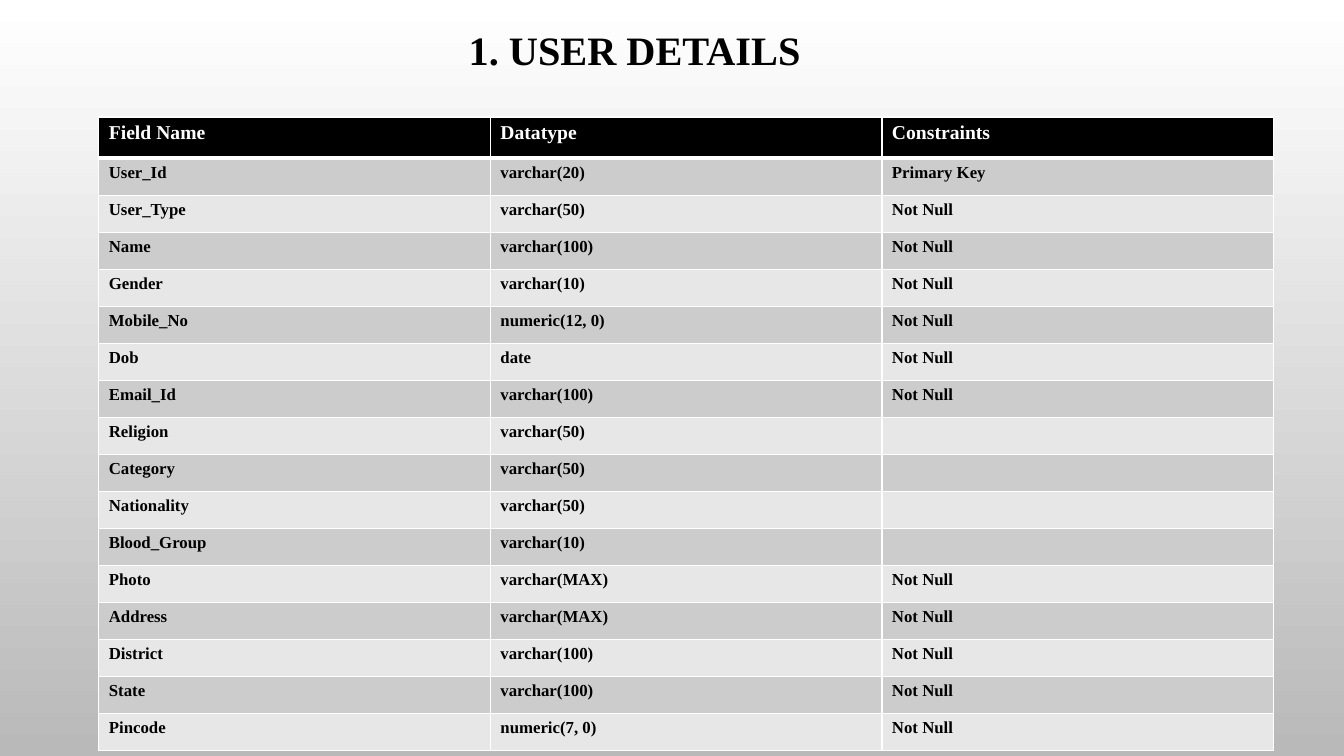
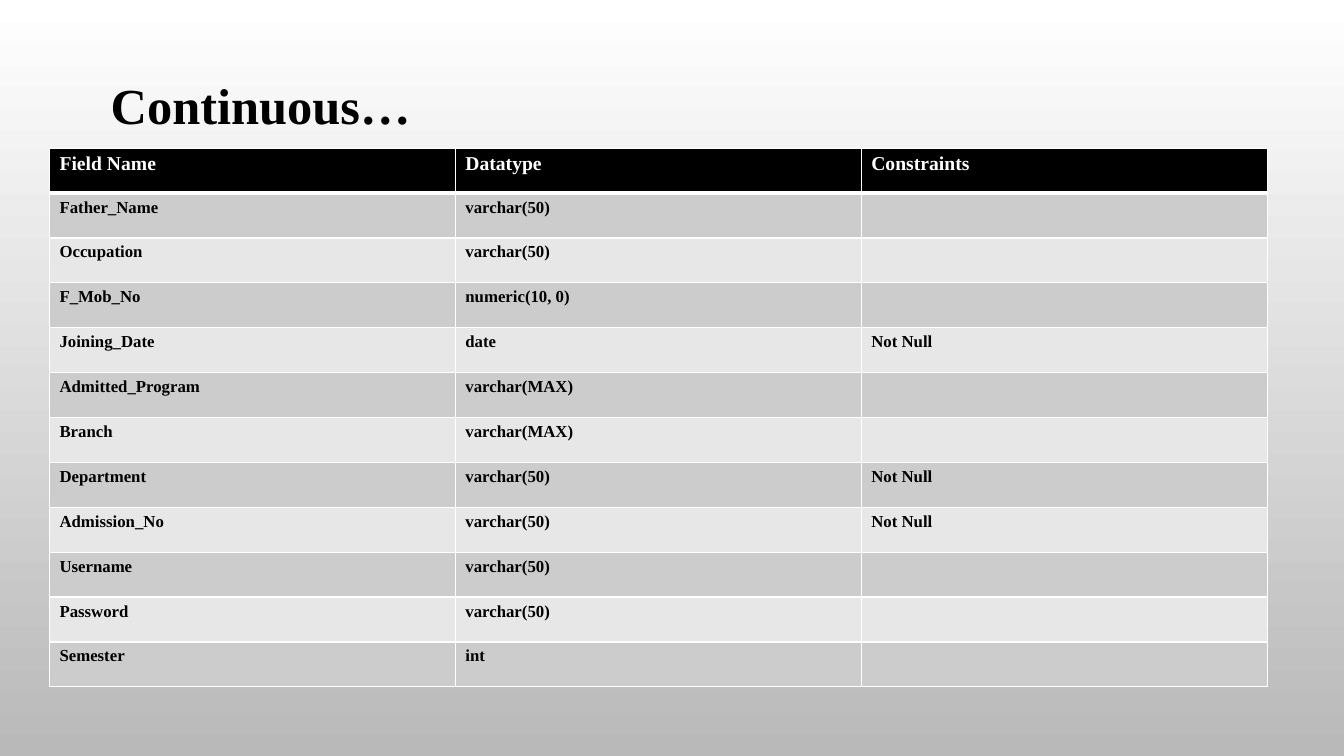
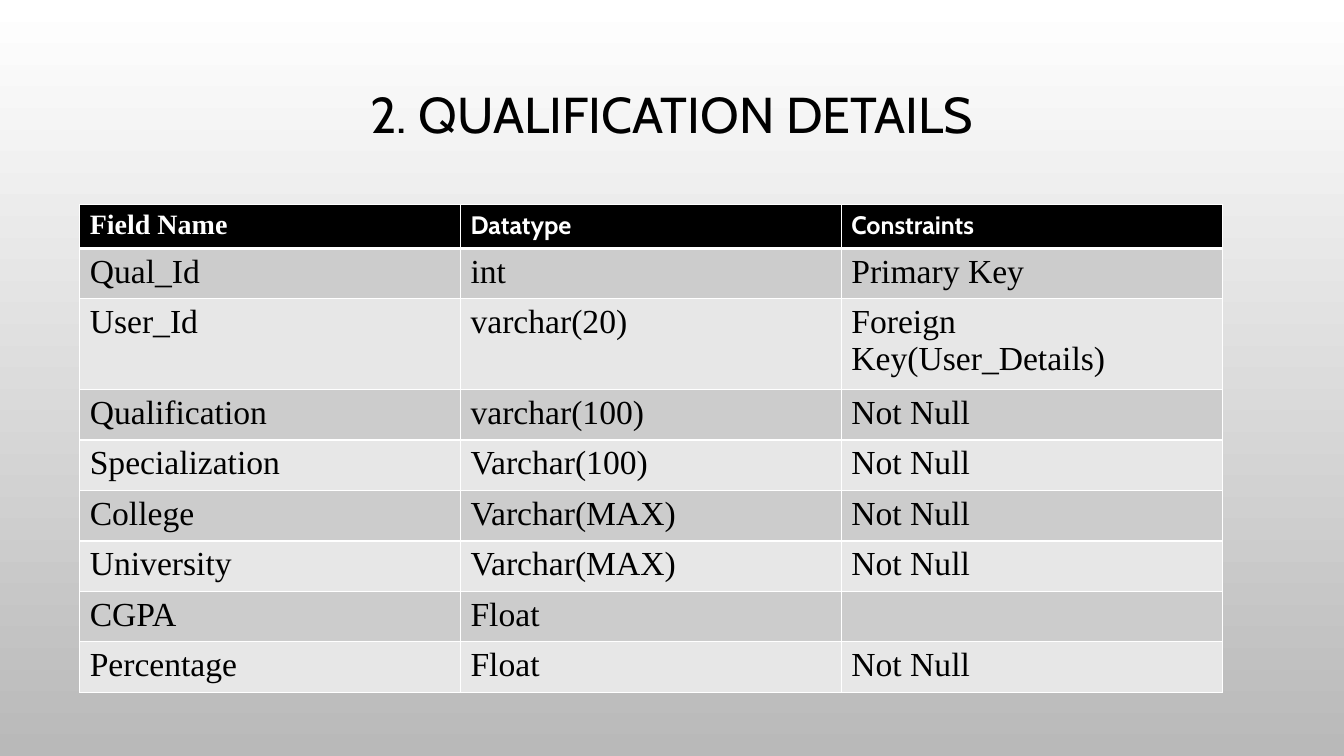
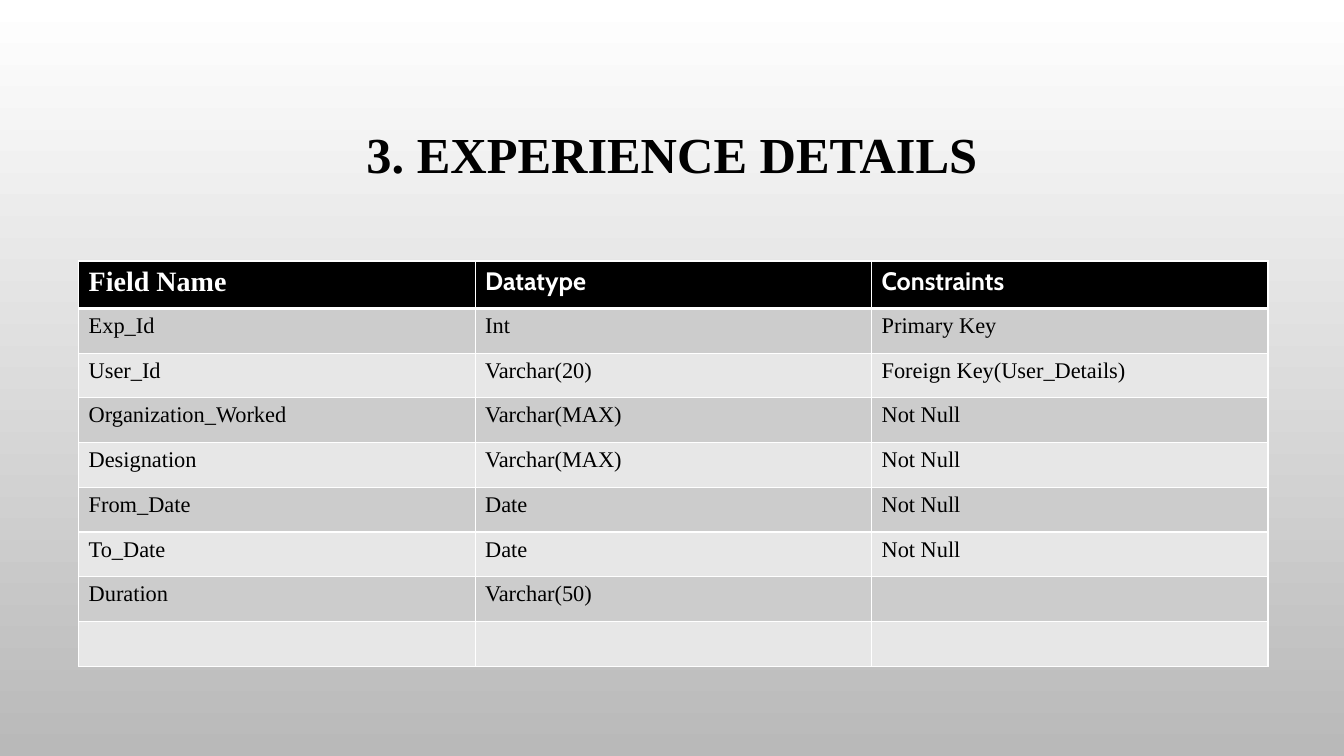
from lxml.etree import SubElement
from pptx import Presentation
from pptx.dml.color import RGBColor
from pptx.enum.text import MSO_ANCHOR, PP_ALIGN
from pptx.oxml.ns import qn
from pptx.util import Inches, Pt

WIDE, HIGH = Inches(13.33), Inches(7.5)
BLACK, WHITE = "000000", "FFFFFF"
DARK, LIGHT, FOOT = "CCCCCC", "E7E7E7", "B9B9B9"
SERIF, SANS = "Times New Roman", "Cabin"
HEADS = ("Field Name", "Datatype", "Constraints")

USER = [
    ("User_Id", "varchar(20)", "Primary Key"),
    ("User_Type", "varchar(50)", "Not Null"),
    ("Name", "varchar(100)", "Not Null"),
    ("Gender", "varchar(10)", "Not Null"),
    ("Mobile_No", "numeric(12, 0)", "Not Null"),
    ("Dob", "date", "Not Null"),
    ("Email_Id", "varchar(100)", "Not Null"),
    ("Religion", "varchar(50)", ""),
    ("Category", "varchar(50)", ""),
    ("Nationality", "varchar(50)", ""),
    ("Blood_Group", "varchar(10)", ""),
    ("Photo", "varchar(MAX)", "Not Null"),
    ("Address", "varchar(MAX)", "Not Null"),
    ("District", "varchar(100)", "Not Null"),
    ("State", "varchar(100)", "Not Null"),
    ("Pincode", "numeric(7, 0)", "Not Null"),
]
MORE = [
    ("Father_Name", "varchar(50)", ""),
    ("Occupation", "varchar(50)", ""),
    ("F_Mob_No", "numeric(10, 0)", ""),
    ("Joining_Date", "date", "Not Null"),
    ("Admitted_Program", "varchar(MAX)", ""),
    ("Branch", "varchar(MAX)", ""),
    ("Department", "varchar(50)", "Not Null"),
    ("Admission_No", "varchar(50)", "Not Null"),
    ("Username", "varchar(50)", ""),
    ("Password", "varchar(50)", ""),
    ("Semester", "int", ""),
]
QUAL = [
    ("Qual_Id", "int", "Primary Key"),
    ("User_Id", "varchar(20)", "Foreign Key(User_Details)"),
    ("Qualification", "varchar(100)", "Not Null"),
    ("Specialization", "Varchar(100)", "Not Null"),
    ("College", "Varchar(MAX)", "Not Null"),
    ("University", "Varchar(MAX)", "Not Null"),
    ("CGPA", "Float", ""),
    ("Percentage", "Float", "Not Null"),
]
WORK = [
    ("Exp_Id", "Int", "Primary Key"),
    ("User_Id", "Varchar(20)", "Foreign Key(User_Details)"),
    ("Organization_Worked", "Varchar(MAX)", "Not Null"),
    ("Designation", "Varchar(MAX)", "Not Null"),
    ("From_Date", "Date", "Not Null"),
    ("To_Date", "Date", "Not Null"),
    ("Duration", "Varchar(50)", ""),
    ("", "", ""),
]


def tint(color, code):
    """Set a colour from its hex string."""
    color.rgb = RGBColor.from_string(code)


def across(share):
    """Turn a percentage of the slide's width into a length."""
    return round(WIDE * share / 100)


def down(share):
    """Turn a percentage of the slide's height into a length."""
    return round(HIGH * share / 100)


def write(frame, text, size=12, face=SERIF, color=BLACK, bold=False,
          align=PP_ALIGN.LEFT, lead=None):
    """Put formatted text into the first paragraph of a frame."""
    par = frame.paragraphs[0]
    par.alignment = align
    if lead:
        par.line_spacing = lead
    if not text:
        SubElement(par._p, qn("a:endParaRPr"), sz=str(size * 100))
        return
    run = par.add_run()
    run.text = text
    font = run.font
    font.size, font.name, font.bold = Pt(size), face, bold
    tint(font.color, color)


def edge(cell, base):
    """Draw white borders around a cell, with its own bottom width."""
    props = cell._tc.get_or_add_tcPr()
    for side, width in (("L", 1), ("R", 1), ("T", 1), ("B", base)):
        line = SubElement(props, qn(f"a:ln{side}"), w=str(Pt(width)))
        fill = SubElement(line, qn("a:solidFill"))
        SubElement(fill, qn("a:srgbClr"), val=WHITE)


def title(slide, box, text, **style):
    """Place the slide's title in its box."""
    left, top, width, height = box
    shape = slide.shapes.add_textbox(
        across(left), down(top), across(width), down(height))
    frame = shape.text_frame
    frame.word_wrap = True
    frame.vertical_anchor = MSO_ANCHOR.MIDDLE
    write(frame, text, lead=0.9, **style)


def grid(slide, box, rows, heads, body):
    """Place a banded table whose box gives left, top, width and row heights."""
    left, top, width, first, step = box
    table = slide.shapes.add_table(
        len(rows) + 1, len(HEADS), across(left), down(top), across(width),
        down(first + step * len(rows))).table
    for row, texts in enumerate([HEADS, *rows]):
        table.rows[row].height = down(step if row else first)
        for col, text in enumerate(texts):
            cell = table.cell(row, col)
            edge(cell, 1 if row else 3)
            cell.fill.solid()
            band = (DARK if row % 2 else LIGHT) if row else BLACK
            tint(cell.fill.fore_color, band)
            style = body if row else dict(heads[col], color=WHITE, bold=True)
            write(cell.text_frame, text, **style)


def shade(master):
    """Give every slide the grey gradient."""
    fill = master.background.fill
    fill.gradient()
    fill.gradient_angle = 270
    for stop, code in zip(fill.gradient_stops, (WHITE, FOOT)):
        tint(stop.color, code)


def main():
    """Build the four slides."""
    deck = Presentation()
    deck.slide_width, deck.slide_height = WIDE, HIGH
    shade(deck.slide_master)
    mid = PP_ALIGN.CENTER
    small = [dict(size=14)] * 3
    mixed = [dict(size=20)] + [dict(size=18, face=SANS)] * 2
    bold = dict(size=12, bold=True)
    pages = [
        ("1. USER DETAILS", (4.72, 3.47, 85, 6.8),
         dict(size=28.8, bold=True, align=mid),
         (7.35, 15.47, 87.4, 5.47, 4.9), USER, small, bold),
        ("Continuous…", (7.5, 9.07, 85, 10.53), dict(size=36, bold=True),
         (3.68, 19.6, 90.6, 5.94, 5.94), MORE, small, bold),
        ("2. QUALIFICATION DETAILS", (7.5, 3.87, 85, 23.33),
         dict(size=36, face=SANS, align=mid),
         (5.93, 27.07, 85, 5.41, 5.41), QUAL, mixed, dict(size=24)),
        ("3. EXPERIENCE DETAILS", (7.5, 9.07, 85, 23.33),
         dict(size=36, bold=True, align=mid),
         (5.85, 34.53, 88.5, 6.27, 5.92), WORK, mixed, dict(size=16)),
    ]
    for text, box, style, area, rows, heads, body in pages:
        slide = deck.slides.add_slide(deck.slide_layouts[6])
        title(slide, box, text, **style)
        grid(slide, area, rows, heads, body)
    deck.save("out.pptx")


if __name__ == "__main__":
    main()
